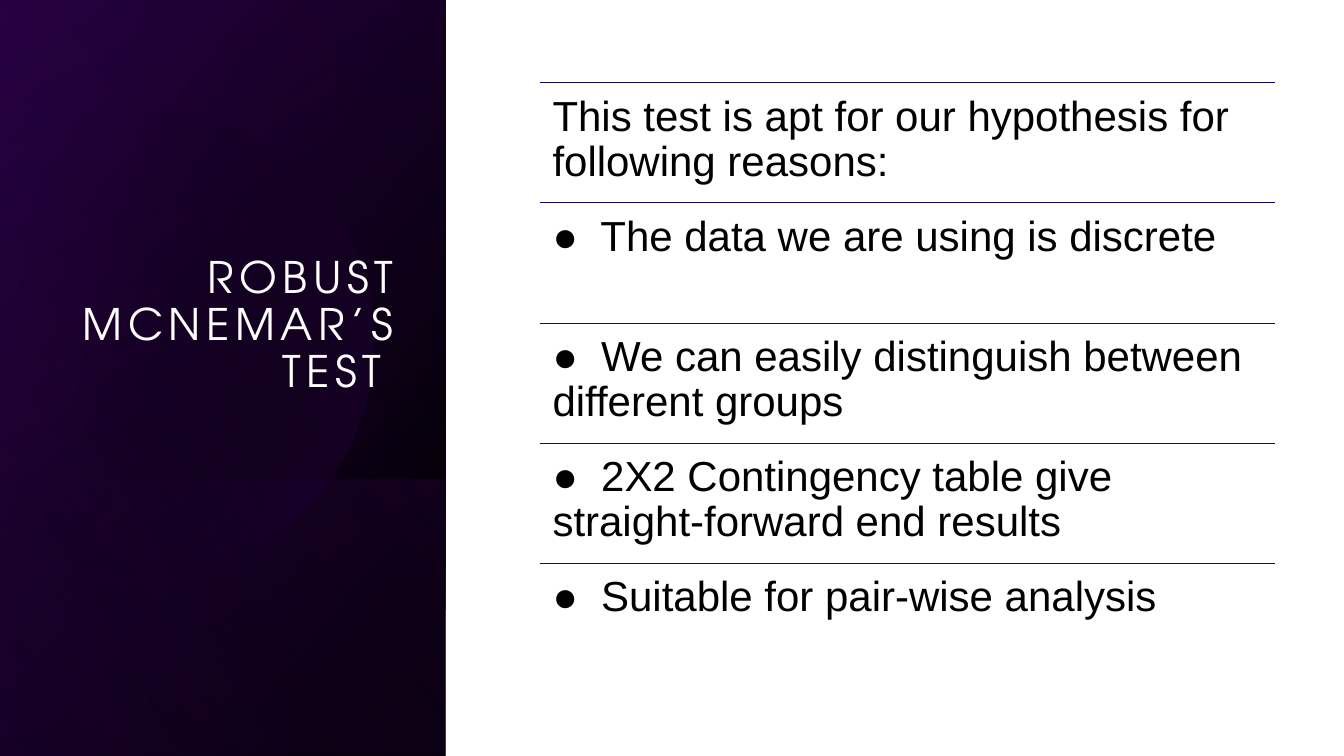
from dataclasses import dataclass
from math import cos, radians, sin

from pptx import Presentation
from pptx.dml.color import RGBColor as RGB
from pptx.enum.shapes import MSO_CONNECTOR as CONN, MSO_SHAPE as SHAPE
from pptx.enum.text import MSO_ANCHOR as ANCHOR, PP_ALIGN as ALIGN
from pptx.oxml import parse_xml
from pptx.oxml.ns import nsdecls, qn
from pptx.util import Inches, Pt


@dataclass(frozen=True)
class Theme:
    """Colours, fonts and type sizes of the slide."""
    black: str = "000000"
    white: str = "FFFFFF"
    rule: str = "140A59"
    indigo: str = "200236"
    plum: str = "2B0348"
    violet: str = "8F0AEF"
    title_font: str = "TeX Gyre Adventor"
    body_font: str = "Arial"
    title_size: int = 31
    body_size: int = 30
    rule_width: float = 0.5
    line_spacing: float = 0.9


class SlideBuilder:
    """Draws styled elements on the current slide."""

    def __init__(self, slide, theme):
        self.slide, self.theme = slide, theme

    def gradient(self, s, stops, angle):
        """Fill a shape with (position, colour, opacity) stops and no outline."""
        s.shadow.inherit = False
        s.line.fill.background()
        s.fill.background()
        marks = "".join(
            f'<a:gs pos="{pos * 1000}"><a:srgbClr val="{color}">'
            f'<a:alpha val="{alpha * 1000}"/></a:srgbClr></a:gs>'
            for pos, color, alpha in stops)
        grad = parse_xml(
            f'<a:gradFill {nsdecls("a")} rotWithShape="1"><a:gsLst>{marks}</a:gsLst>'
            f'<a:lin ang="{angle * 60000}" scaled="0"/></a:gradFill>')
        sp_pr = s._element.spPr
        sp_pr.replace(sp_pr.find(qn("a:noFill")), grad)

    def panel(self, x, y, w, h, stops, angle):
        """Add a mirrored rectangle turned a quarter and filled with a gradient."""
        s = self.slide.shapes.add_shape(
            SHAPE.RECTANGLE, Inches(x), Inches(y), Inches(w), Inches(h))
        s.rotation = 90
        s._element.spPr.find(qn("a:xfrm")).set("flipH", "1")
        self.gradient(s, stops, angle)

    def disc(self, cx, cy, radius, reach, stops, angle):
        """Add a disc cut off by a vertical edge on its left side."""
        points = [(Inches(cx + radius * cos(radians(a))),
                   Inches(cy + radius * sin(radians(a))))
                  for a in range(-reach, reach + 1, 2)]
        builder = self.slide.shapes.build_freeform(*points[0])
        builder.add_line_segments(points[1:], close=True)
        self.gradient(builder.convert_to_shape(), stops, angle)

    def text(self, x, y, w, h, words, font, size, color, inset=0.12):
        """Add a wrapped text box and return its text frame."""
        s = self.slide.shapes.add_textbox(Inches(x), Inches(y), Inches(w), Inches(h))
        tf = s.text_frame
        tf.word_wrap = True
        tf.margin_left = tf.margin_right = Inches(inset)
        tf.margin_top = tf.margin_bottom = Inches(inset)
        tf.text = words
        p = tf.paragraphs[0]
        p.line_spacing = self.theme.line_spacing
        r = p.runs[0]
        r.font.name, r.font.size = font, Pt(size)
        r.font.color.rgb = RGB.from_string(color)
        return tf

    def title(self, x, y, w, h, words):
        """Add the right-aligned, letter-spaced title."""
        t = self.theme
        tf = self.text(x, y, w, h, words, t.title_font, t.title_size, t.white, 0.1)
        tf.vertical_anchor = ANCHOR.BOTTOM
        tf.margin_bottom = Inches(0.52)
        p = tf.paragraphs[0]
        p.alignment = ALIGN.RIGHT
        p.runs[0].font._element.set("spc", "400")

    def rule(self, x, y, w):
        """Add a thin horizontal line."""
        s = self.slide.shapes.add_connector(
            CONN.STRAIGHT, Inches(x), Inches(y), Inches(x + w), Inches(y))
        s.line.color.rgb = RGB.from_string(self.theme.rule)
        s.line.width = Pt(self.theme.rule_width)
        s._element.spPr.append(parse_xml(f'<a:effectLst {nsdecls("a")}/>'))

    def reasons(self, x, y, w, h, rows):
        """Add equal rows of text, each under a line."""
        t = self.theme
        step = h / len(rows)
        for i, words in enumerate(rows):
            top = y + i * step
            self.rule(x, top, w)
            self.text(x, top, w, step, words, t.body_font, t.body_size, t.black)


def main():
    """Build the slide and save it."""
    prs = Presentation()
    prs.slide_width, prs.slide_height = Inches(13.33), Inches(7.5)
    t = Theme()
    b = SlideBuilder(prs.slides.add_slide(prs.slide_layouts[6]), t)

    side = (-1.54, 1.54, 7.5, 4.42)
    b.panel(*side, [(8, t.black, 100), (100, t.indigo, 100)], 50)
    b.panel(*side, [(0, t.black, 0), (99, t.plum, 46)], 30)
    b.panel(0.84, 3.92, 2.74, 4.42, [(2, t.plum, 29), (100, t.black, 30)], 130)
    b.disc(1.41, 3.39, 2.3, 127, [(29, t.black, 0), (100, t.plum, 43)], 14)
    b.panel(*side, [(0, t.black, 0), (99, t.violet, 11)], 120)

    b.title(0.64, 1.84, 3.41, 2.62, "ROBUST MCNEMAR’S TEST ")
    b.reasons(5.36, 0.82, 7.29, 5.96, [
        "This test is apt for our hypothesis for following reasons:",
        "●  The data we are using is discrete",
        "●  We can easily distinguish between different groups",
        "●  2X2 Contingency table give straight-forward end results",
        "●  Suitable for pair-wise analysis",
    ])
    prs.save("out.pptx")


if __name__ == "__main__":
    main()
